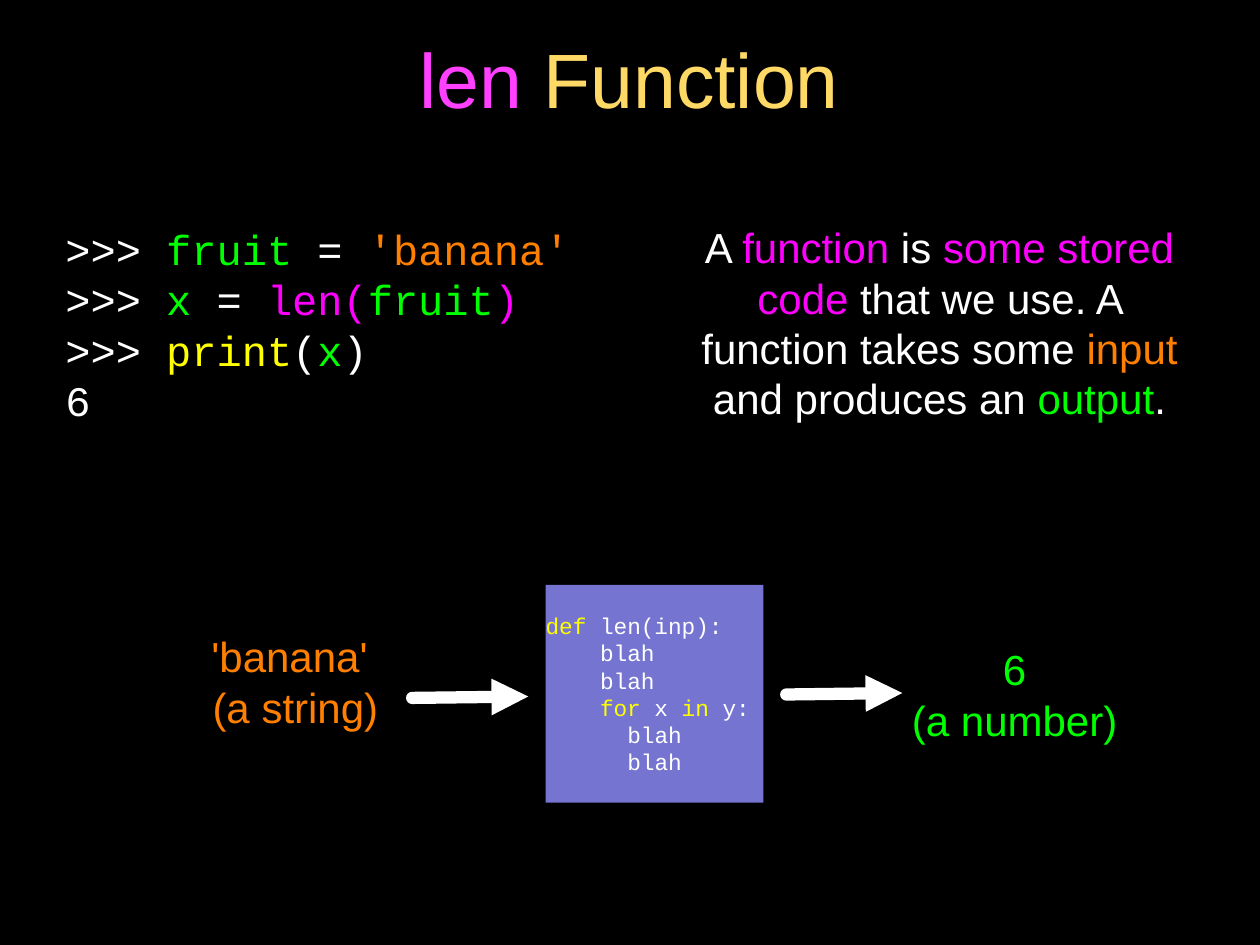
from collections import namedtuple
from dataclasses import dataclass

from lxml.etree import SubElement
from pptx import Presentation
from pptx.dml.color import RGBColor
from pptx.enum.shapes import MSO_CONNECTOR as Connector, MSO_SHAPE as Shape
from pptx.enum.text import MSO_ANCHOR as Anchor, MSO_AUTO_SIZE as AutoSize, PP_ALIGN as Align
from pptx.oxml.ns import qn
from pptx.util import Cm, Pt

Box = namedtuple("Box", "left top width height")


@dataclass(frozen=True)
class Theme:
    background: str = "000000"
    machine: str = "7575D1"
    plain: str = "FFFFFF"
    title: str = "FFD966"
    title_name: str = "FF40FF"
    function: str = "FF00FF"
    input: str = "FF7F00"
    output: str = "00FF00"
    keyword: str = "FFFF00"
    sans: str = "Arial"
    mono: str = "Courier New"
    title_size: int = 44
    text_size: int = 24
    code_size: int = 13
    leading: float = 1.2
    arrow_width: int = 7


THEME = Theme()


def rgb(role):
    return RGBColor.from_string(getattr(THEME, role))


def write(frame, lines, face, size, align=Align.LEFT, leading=THEME.leading, inset=0):
    """Fill a frame with lines, each a list of (text, colour role) runs."""
    formats = {"word_wrap": True, "auto_size": AutoSize.NONE, "vertical_anchor": Anchor.MIDDLE}
    formats |= {f"margin_{side}": Cm(inset) for side in ("left", "top", "right", "bottom")}
    for key, value in formats.items():
        setattr(frame, key, value)
    for number, line in enumerate(lines):
        paragraph = frame.add_paragraph() if number else frame.paragraphs[0]
        paragraph.alignment = align
        if leading:
            paragraph.line_spacing = Pt(size * leading)
        for text, role in line:
            run = paragraph.add_run()
            run.text = text
            run.font.color.rgb = rgb(role)
            for key, value in {"name": face, "size": Pt(size), "bold": False}.items():
                setattr(run.font, key, value)


def add_text(slide, box, lines, face=THEME.sans, align=Align.CENTER):
    frame = slide.shapes.add_textbox(*map(Cm, box)).text_frame
    write(frame, lines, face, THEME.text_size, align)


def add_arrow(slide, left, top, length, rise):
    arrow = slide.shapes.add_connector(
        Connector.STRAIGHT, Cm(left), Cm(top), Cm(left + length), Cm(top - rise))
    arrow.line.color.rgb = rgb("plain")
    arrow.line.width = Pt(THEME.arrow_width)
    line = arrow.line._get_or_add_ln()
    line.set("cap", "rnd")
    SubElement(line, qn("a:tailEnd"), type="triangle")
    SubElement(arrow._element.spPr, qn("a:effectLst"))


def add_title(slide, box):
    title = slide.shapes.title
    for key, value in box._asdict().items():
        setattr(title, key, Cm(value))
    write(title.text_frame, [[("len ", "title_name"), ("Function", "title")]],
          THEME.sans, THEME.title_size, Align.CENTER, leading=None, inset=0.05)


def add_session(slide, box):
    prompt = (">>> ", "plain")
    add_text(slide, box, [
        [prompt, ("fruit ", "output"), ("=", "plain"), (" 'banana'", "input")],
        [prompt, ("x ", "output"), ("= ", "plain"), ("len(", "function"),
         ("fruit", "output"), (")", "function")],
        [prompt, ("print", "keyword"), ("(", "plain"), ("x", "output"), (")", "plain")],
        [("6", "plain")],
    ], THEME.mono, Align.LEFT)


def add_definition(slide, box):
    add_text(slide, box, [[
        ("A ", "plain"), ("function", "function"), (" is ", "plain"),
        ("some stored code", "function"),
        (" that we use. A function takes some ", "plain"), ("input", "input"),
        (" and produces an ", "plain"), ("output", "output"), (".", "plain"),
    ]])


def add_flow(slide, box):
    """Input, function and output from left to right, joined by arrows."""
    side = box.height
    # Function body
    machine = slide.shapes.add_shape(
        Shape.RECTANGLE, Cm(box.left + 7.24), Cm(box.top), Cm(side), Cm(side))
    machine.shadow.inherit = False
    machine.fill.solid()
    machine.fill.fore_color.rgb = rgb("machine")
    machine.line.fill.background()
    outer, inner = [("    blah", "plain")], [("      blah", "plain")]
    write(machine.text_frame, [
        [("def", "keyword"), (" len(inp):", "plain")],
        outer, outer,
        [("    ", "plain"), ("for", "keyword"), (" x ", "plain"),
         ("in", "keyword"), (" y:", "plain")],
        inner, inner,
    ], THEME.mono, THEME.code_size)

    # Value going in and value coming out
    add_text(slide, Box(box.left, box.top + 0.76, side, 2.36),
             [[("'banana' ", "input")], [("(a string)", "input")]])
    add_text(slide, Box(box.left + box.width - side, box.top + 1.29, side, 1.83),
             [[("6", "output")], [("(a number)", "output")]])

    # Arrows
    for left, top in ((4.55, 2.28), (12.09, 2.21)):
        add_arrow(slide, box.left + left, box.top + top, length=2.34, rise=0.03)


def main():
    deck = Presentation()
    deck.slide_width, deck.slide_height = Cm(25.4), Cm(19.05)
    slide = deck.slides.add_slide(deck.slide_layouts.get_by_name("Title Only"))
    slide.background.fill.solid()
    slide.background.fill.fore_color.rgb = rgb("background")

    add_title(slide, Box(1.8, 0.58, 21.77, 1.96))
    add_session(slide, Box(1.32, 2.54, 12.45, 8))
    add_definition(slide, Box(13.77, 2.54, 10.34, 7.92))
    add_flow(slide, Box(3.76, 11.79, 18.89, 4.39))
    deck.save("out.pptx")


if __name__ == "__main__":
    main()
